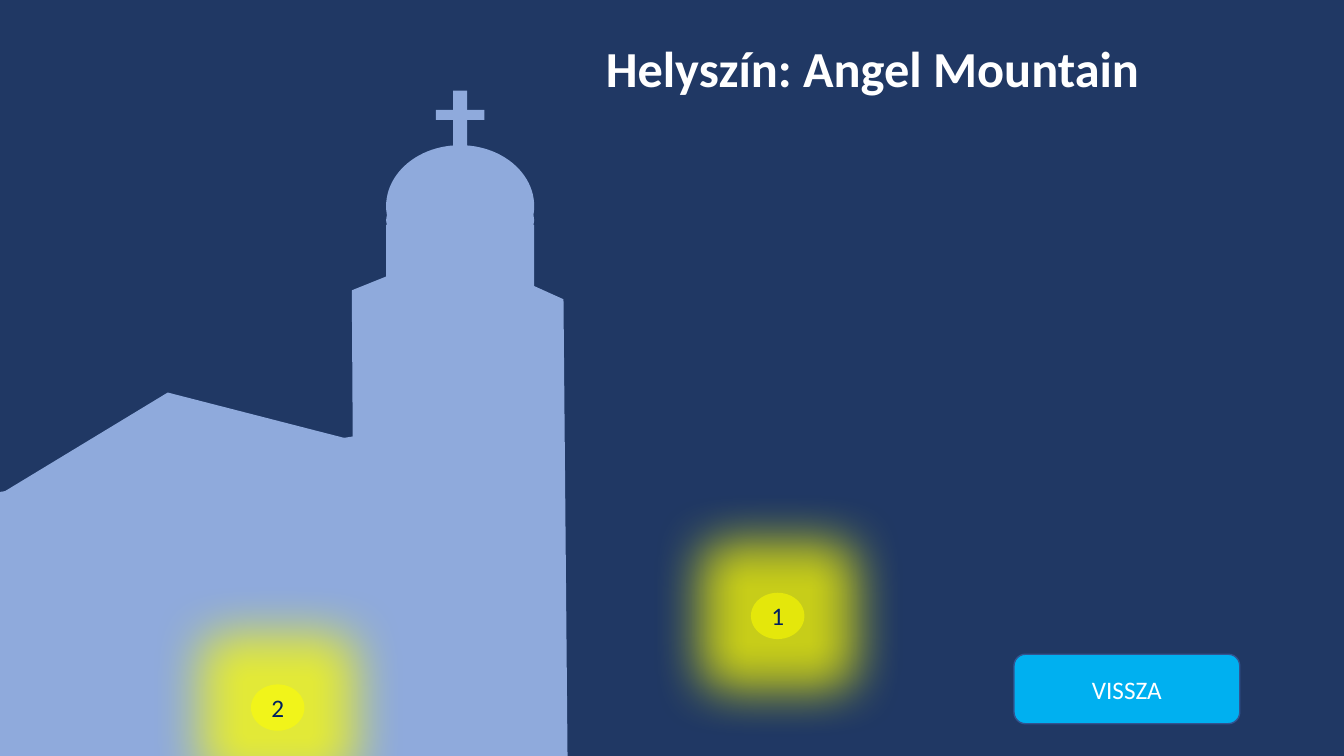
import pptx
import pptx.util
import pptx.dml.color
import pptx.enum.shapes
import pptx.enum.text
import pptx.oxml
import pptx.oxml.ns

Pt = pptx.util.Pt
RGBColor = pptx.dml.color.RGBColor
SHAPE = pptx.enum.shapes.MSO_SHAPE
ALIGN = pptx.enum.text.PP_ALIGN
ANCHOR = pptx.enum.text.MSO_ANCHOR

NIGHT = RGBColor(0x20, 0x38, 0x64)
STONE = RGBColor(0x8F, 0xAA, 0xDC)
WHITE = RGBColor(0xFF, 0xFF, 0xFF)
YELLOW = RGBColor(0xFF, 0xFF, 0x00)
NAVY = RGBColor(0x00, 0x20, 0x60)
SKY = RGBColor(0x00, 0xB0, 0xF0)
RIM = RGBColor(0x32, 0x54, 0x91)

TITLE_FONT = {"name": "Calibri", "size": Pt(36), "bold": True}
LABEL_FONT = {"name": "Calibri", "size": Pt(18), "bold": False}
MARKER_OPACITY = 52
GLOW_OPACITY = 75
GLOW_RADIUS = 72

# Tower parts: kind, top, width, height, all centred on the tower axis
TOWER_AXIS = 328.7
TOWER_PARTS = [
    (SHAPE.OVAL, 38.9, 105.8, 87.1),       # dome
    (SHAPE.RECTANGLE, 95.8, 105.8, 61.2),  # drum
    (SHAPE.OVAL, 69.1, 105.8, 46.8),       # dome base
    (SHAPE.RECTANGLE, 0, 10.1, 46.8),      # cross upright
    (SHAPE.RECTANGLE, 13.7, 34.6, 7.2),    # cross bar
]
WALLS = [
    [(322.6, 113), (402.5, 149), (405.4, 478.1), (323.3, 478.1)],   # right tower wall
    [(251.3, 142.6), (324.7, 113), (329, 478.1), (253.4, 479.5)],   # left tower wall
    [(-4.3, 287.3), (257, 246.2), (257, 478.1), (-2.9, 485.3)],     # nave
]


def paint(shape, color):
    """Fill a shape with one colour, without outline or shadow."""
    shape.shadow.inherit = False
    shape.fill.solid()
    shape.fill.fore_color.rgb = color
    shape.line.fill.background()


def format_text(shape, text, font_values, color, alignment, anchor):
    """Write one formatted paragraph into a shape."""
    frame = shape.text_frame
    frame.text = text
    frame.vertical_anchor = anchor
    paragraph = frame.paragraphs[0]
    for name, value in {"alignment": alignment, "line_spacing": 1.0}.items():
        setattr(paragraph, name, value)
    font = paragraph.runs[0].font
    for name, value in font_values.items():
        setattr(font, name, value)
    font.color.rgb = color


def add_title(slide, left, top, width, height):
    """Move and format the title placeholder."""
    title = slide.shapes.title
    box = {"left": left, "top": top, "width": width, "height": height}
    for name, value in box.items():
        setattr(title, name, Pt(value))
    format_text(title, "Helyszín: Angel Mountain", TITLE_FONT, WHITE, ALIGN.LEFT, ANCHOR.TOP)
    title.text_frame.word_wrap = False
    title.text_frame.auto_size = pptx.enum.text.MSO_AUTO_SIZE.SHAPE_TO_FIT_TEXT


def add_church(slide, left, top):
    """Build the church silhouette as a group from its upper left corner."""
    shapes = slide.shapes.add_group_shape().shapes
    for kind, offset, width, height in TOWER_PARTS:
        part_left = left + TOWER_AXIS - width / 2
        paint(shapes.add_shape(kind, Pt(part_left), Pt(top + offset), Pt(width), Pt(height)), STONE)
    for outline in WALLS:
        points = [(Pt(left + x), Pt(top + y)) for x, y in outline]
        builder = shapes.build_freeform(*points[0], scale=1.0)
        builder.add_line_segments(points[1:], close=True)
        paint(builder.convert_to_shape(), STONE)
    roof = shapes.add_shape(SHAPE.ISOSCELES_TRIANGLE, Pt(left - 18), Pt(top + 215.3),
                            Pt(284.4), Pt(59.8))
    roof.rotation = 351.6
    paint(roof, STONE)


def add_marker(slide, number, left, top, width, height):
    """Add a translucent numbered marker with a wide yellow glow."""
    marker = slide.shapes.add_shape(SHAPE.OVAL, Pt(left), Pt(top), Pt(width), Pt(height))
    paint(marker, YELLOW)
    format_text(marker, number, LABEL_FONT, NAVY, ALIGN.CENTER, ANCHOR.MIDDLE)
    properties = marker.element.spPr
    fill_color = properties.find(".//" + pptx.oxml.ns.qn("a:srgbClr"))
    alpha = pptx.oxml.parse_xml(
        f'<a:alpha {pptx.oxml.ns.nsdecls("a")} val="{MARKER_OPACITY * 1000}"/>')
    fill_color.append(alpha)
    glow = pptx.oxml.parse_xml(
        f'<a:glow {pptx.oxml.ns.nsdecls("a")} rad="{int(Pt(GLOW_RADIUS))}">'
        f'<a:srgbClr val="{YELLOW}"><a:alpha val="{GLOW_OPACITY * 1000}"/></a:srgbClr></a:glow>')
    properties.find(pptx.oxml.ns.qn("a:effectLst")).append(glow)


def add_back_button(slide, left, top, width, height):
    """Add the rounded back button."""
    button = slide.shapes.add_shape(SHAPE.ROUNDED_RECTANGLE, Pt(left), Pt(top),
                                    Pt(width), Pt(height))
    paint(button, SKY)
    button.line.color.rgb = RIM
    button.line.width = Pt(1)
    format_text(button, "VISSZA", LABEL_FONT, WHITE, ALIGN.CENTER, ANCHOR.MIDDLE)


def build_location_slide(presentation):
    """Build the location slide with church, markers and button."""
    slide = presentation.slides.add_slide(presentation.slide_layouts[5])
    slide.background.fill.solid()
    slide.background.fill.fore_color.rgb = NIGHT
    add_church(slide, 0, 64.8)
    add_title(slide, 425.5, 23, 399.6, 51.1)
    add_marker(slide, "1", 536.4, 423.4, 38.2, 33.1)
    add_marker(slide, "2", 179.3, 488.9, 38.2, 33.1)
    add_back_button(slide, 724.3, 467.3, 161.3, 49.7)


presentation = pptx.Presentation()
presentation.slide_width = Pt(960)
presentation.slide_height = Pt(540)
build_location_slide(presentation)
presentation.save("out.pptx")
